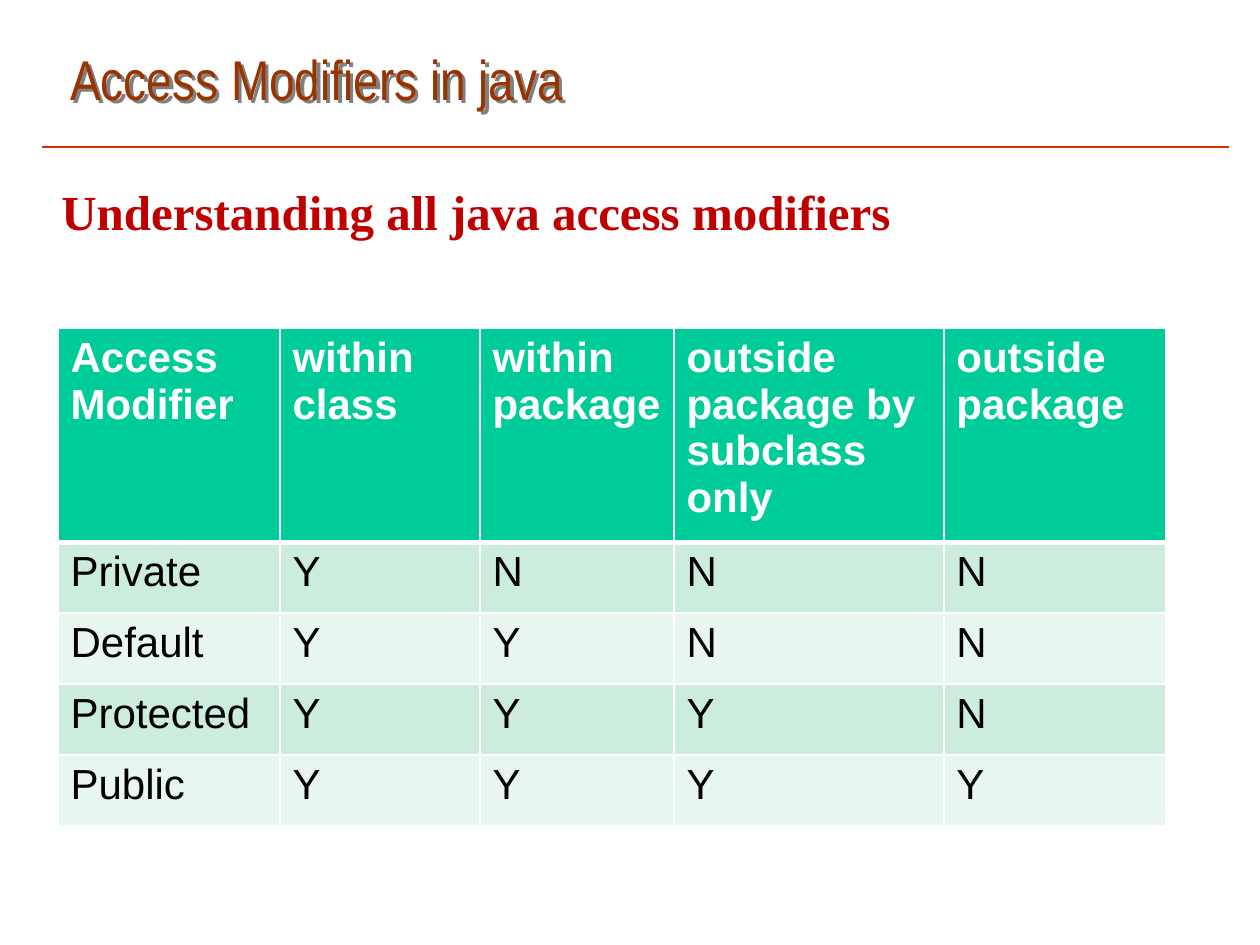
"""Build the slide that compares the Java access modifiers."""
from dataclasses import dataclass

import pptx
import pptx.dml.color
import pptx.enum.shapes
import pptx.oxml
import pptx.oxml.ns
import pptx.util

EMU_PER_PX = 914400 / 126
NS = pptx.oxml.ns.nsdecls("a")


@dataclass(frozen=True)
class Theme:
    title: str = "993300"
    shadow: str = "808080"
    rule: str = "CC3300"
    heading: str = "C00000"
    header_fill: str = "00CC99"
    bands: tuple[str, str] = ("CCECDE", "E7F6EF")
    white: str = "FFFFFF"
    black: str = "000000"
    title_pt: int = 32
    heading_pt: int = 28
    table_pt: int = 24
    rule_pt: float = 0.75
    border_pt: int = 1
    header_border_pt: int = 3


@dataclass(frozen=True)
class Style:
    font: str
    size: int
    color: str
    bold: bool = False


@dataclass(frozen=True)
class Label:
    text: str
    x: int
    y: int
    w: int
    h: int
    style: Style
    shadow: bool = False


@dataclass(frozen=True)
class Modifier:
    name: str
    access: str


T = Theme()
LABELS = [
    Label("Access Modifiers in java", 58, 38, 756, 81,
          Style("Arial Narrow", T.title_pt, T.title), shadow=True),
    Label("Understanding all java access modifiers", 49, 175, 1158, 72,
          Style("Times New Roman", T.heading_pt, T.heading, bold=True)),
]
HEADERS = ["Access Modifier", "within class", "within package",
           "outside package by subclass only", "outside package"]
MODIFIERS = [
    Modifier("Private", "YNNN"),
    Modifier("Default", "YYNN"),
    Modifier("Protected", "YYYN"),
    Modifier("Public", "YYYY"),
]
COL_WIDTHS = [222, 200, 194, 270, 222]
HEADER_H, ROW_H = 213, 71


def px(n: int) -> int:
    """Turn pixels into EMU."""
    return round(n * EMU_PER_PX)


def rgb(color: str) -> pptx.dml.color.RGBColor:
    """Turn a hex string into a colour."""
    return pptx.dml.color.RGBColor.from_string(color)


def set_text(tf, text: str, style: Style) -> None:
    """Write one paragraph and format its run."""
    tf.text = text
    f = tf.paragraphs[0].runs[0].font
    f.name, f.size, f.bold = style.font, pptx.util.Pt(style.size), style.bold
    f.color.rgb = rgb(style.color)


def add_label(s, label: Label) -> None:
    """Add a wrapped text box, with a drop shadow if wanted."""
    sp = s.shapes.add_textbox(px(label.x), px(label.y), px(label.w), px(label.h))
    sp.text_frame.word_wrap = True
    set_text(sp.text_frame, label.text, label.style)
    if label.shadow:
        sp._element.spPr.append(pptx.oxml.parse_xml(
            f'<a:effectLst {NS}><a:outerShdw dist="35921" dir="2700000" algn="ctr" '
            f'rotWithShape="0"><a:srgbClr val="{T.shadow}"/></a:outerShdw></a:effectLst>'))


def add_rule(s, x1: int, x2: int, y: int) -> None:
    """Add the horizontal line under the title."""
    cx = s.shapes.add_connector(pptx.enum.shapes.MSO_CONNECTOR.STRAIGHT,
                                px(x1), px(y), px(x2), px(y))
    cx.line.color.rgb = rgb(T.rule)
    cx.line.width = pptx.util.Pt(T.rule_pt)
    cx._element.spPr.append(pptx.oxml.parse_xml(f"<a:effectLst {NS}/>"))


def fill_cell(cell, text: str, style: Style, fill: str, top: int, bottom: int) -> None:
    """Set the text, borders and fill of a table cell."""
    set_text(cell.text_frame, text, style)
    tc_pr = cell._tc.get_or_add_tcPr()
    widths = {"L": T.border_pt, "R": T.border_pt, "T": top, "B": bottom}
    for side, width in widths.items():
        tc_pr.append(pptx.oxml.parse_xml(
            f'<a:ln{side} {NS} w="{pptx.util.Pt(width)}"><a:solidFill>'
            f'<a:srgbClr val="{T.white}"/></a:solidFill></a:ln{side}>'))
    cell.fill.solid()
    cell.fill.fore_color.rgb = rgb(fill)


def add_access_table(s, x: int, y: int) -> None:
    """Add the table of modifiers and where each one gives access."""
    rows = [HEADERS] + [[m.name, *m.access] for m in MODIFIERS]
    heights = [HEADER_H] + [ROW_H] * len(MODIFIERS)
    tbl = s.shapes.add_table(len(rows), len(HEADERS), px(x), px(y),
                             px(sum(COL_WIDTHS)), px(sum(heights))).table
    for col, width in zip(tbl.columns, COL_WIDTHS):
        col.width = px(width)
    head = Style("Arial", T.table_pt, T.white, bold=True)
    body = Style("Arial", T.table_pt, T.black)
    for i, (texts, height) in enumerate(zip(rows, heights)):
        tbl.rows[i].height = px(height)
        style = body if i else head
        fill = T.bands[(i - 1) % 2] if i else T.header_fill
        top = T.header_border_pt if i == 1 else T.border_pt
        bottom = T.border_pt if i else T.header_border_pt
        for j, text in enumerate(texts):
            fill_cell(tbl.cell(i, j), text, style, fill, top, bottom)


def main() -> None:
    """Build and save the slide."""
    prs = pptx.Presentation()
    prs.slide_width, prs.slide_height = px(1260), px(945)
    s = prs.slides.add_slide(prs.slide_layouts[6])
    add_rule(s, 42, 1229, 147)
    for label in LABELS:
        add_label(s, label)
    add_access_table(s, 58, 328)
    prs.save("out.pptx")


if __name__ == "__main__":
    main()
